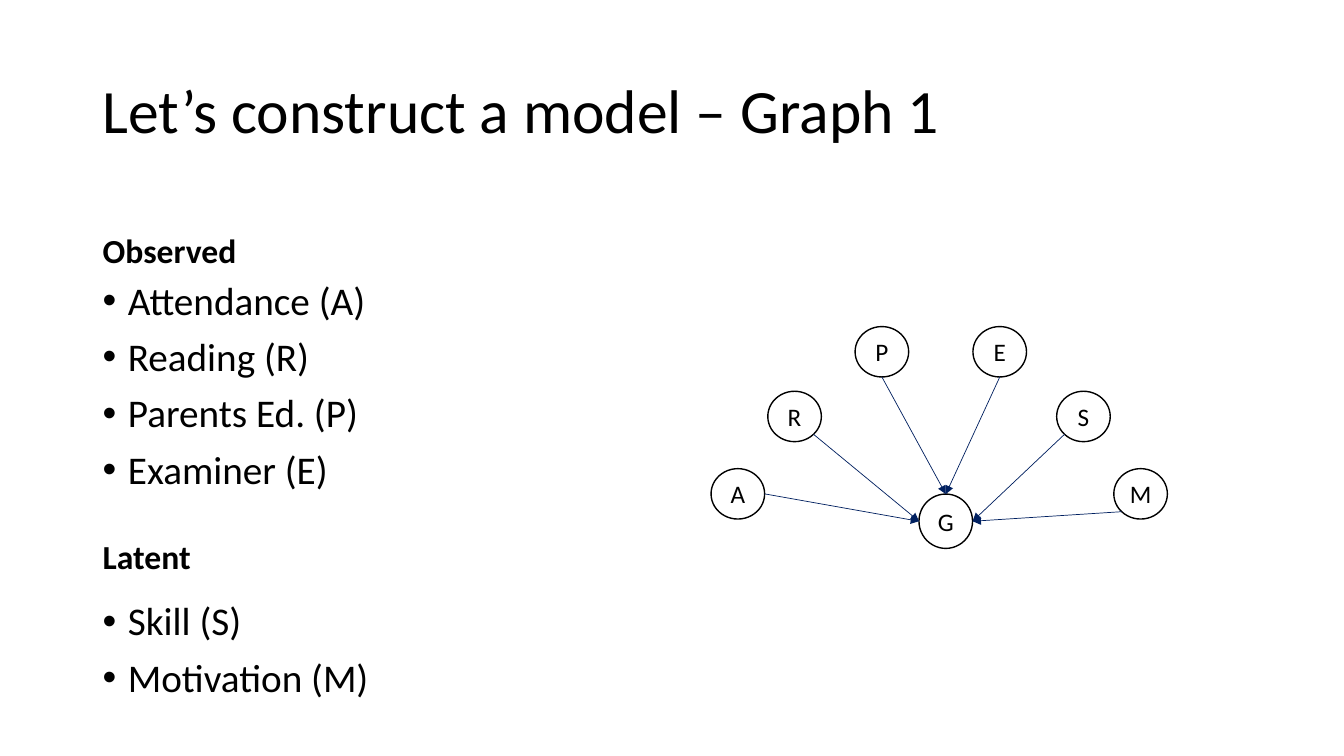
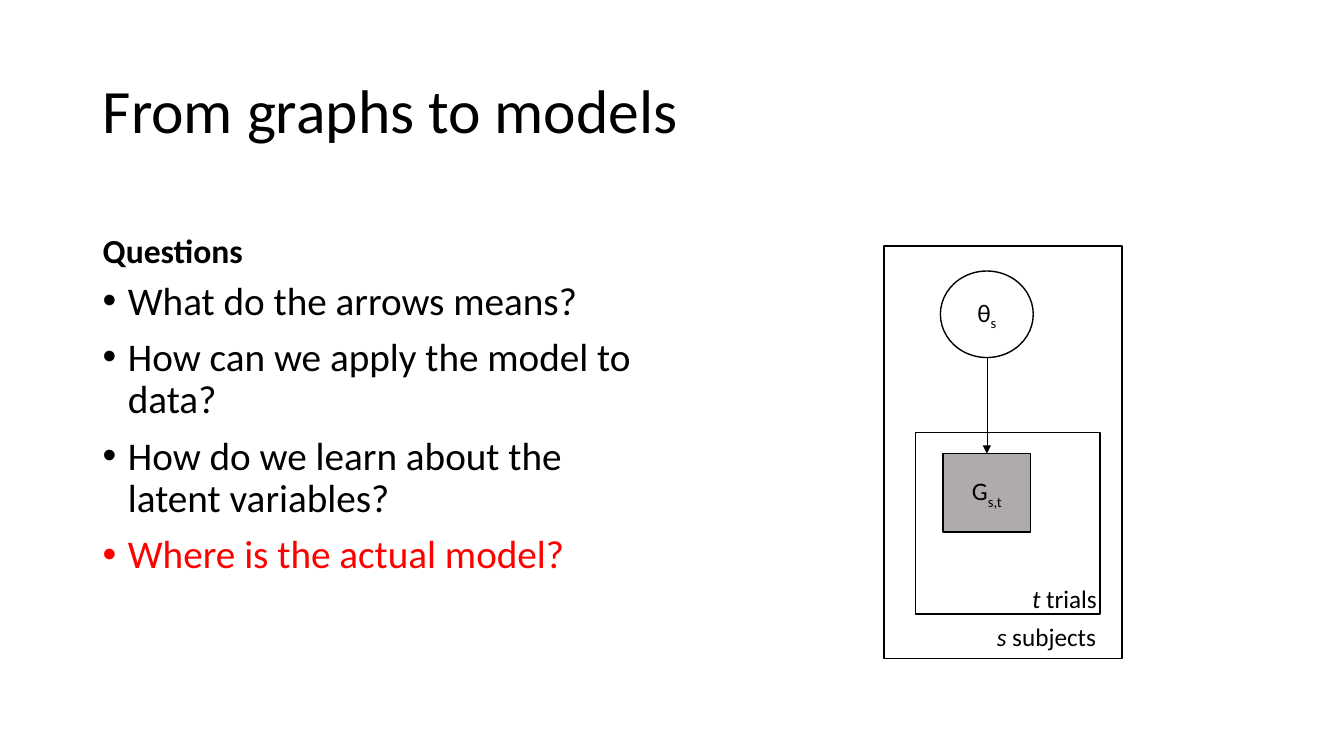
import math

import pptx
import pptx.dml.color
import pptx.enum.shapes
import pptx.enum.text
import pptx.oxml.ns
import pptx.util
from lxml import etree
from pptx.util import Cm

COLOURS = {
    "text": "000000",
    "outline": "000000",
    "paper": "FFFFFF",
    "observed": "AFABAB",
    "edge": "002060",
    "highlight": "FF0000",
}
FONT = "Calibri"
LEFT, COLUMN_WIDTH = 2.34, 14.33
ANCHOR = pptx.enum.text.MSO_ANCHOR
ALIGN = pptx.enum.text.PP_ALIGN
SHAPE = pptx.enum.shapes.MSO_SHAPE
CONNECTOR = pptx.enum.shapes.MSO_CONNECTOR


def colour(name):
    return pptx.dml.color.RGBColor.from_string(COLOURS[name])


def add_child(parent, tag, **attributes):
    return etree.SubElement(parent, pptx.oxml.ns.qn(tag), attributes)


def add_text(paragraph, text, size=18, bold=False, italic=False,
             color="text", subscript=False):
    run = paragraph.add_run()
    run.text = text
    run.font.name = FONT
    run.font.size = pptx.util.Pt(size)
    run.font.bold = bold
    run.font.italic = italic
    run.font.color.rgb = colour(color)
    if subscript:
        run.font._element.set("baseline", "-25000")


def rim(shape, degrees):
    """Point on an ellipse's outline, with angles clockwise from the right."""
    angle = math.radians(degrees)
    x = shape.left + shape.width / 2 * (1 + math.cos(angle))
    y = shape.top + shape.height / 2 * (1 + math.sin(angle))
    return round(x), round(y)


class Deck:
    """Holds the presentation, its style and the current slide."""

    def __init__(self):
        self.presentation = pptx.Presentation()
        self.presentation.slide_width = Cm(33.87)
        self.presentation.slide_height = Cm(19.05)
        self.slide = None

    def new_slide(self, title):
        layout = self.presentation.slide_layouts[6]
        self.slide = self.presentation.slides.add_slide(layout)
        frame = self.text_frame(LEFT, 1.02, 29.21, 3.68, ANCHOR.MIDDLE)
        frame.paragraphs[0].line_spacing = 0.9
        add_text(frame.paragraphs[0], title, size=44)

    def text_frame(self, left, top, width, height, anchor=ANCHOR.TOP):
        box = self.slide.shapes.add_textbox(Cm(left), Cm(top), Cm(width), Cm(height))
        box.text_frame.word_wrap = True
        box.text_frame.vertical_anchor = anchor
        return box.text_frame

    def heading(self, text, top):
        frame = self.text_frame(LEFT, top, COLUMN_WIDTH, 2.29, ANCHOR.BOTTOM)
        frame.paragraphs[0].line_spacing = 0.9
        add_text(frame.paragraphs[0], text, size=24, bold=True)

    def bullets(self, items, top, height, highlighted=None):
        frame = self.text_frame(LEFT, top, COLUMN_WIDTH, height)
        for index, item in enumerate(items):
            paragraph = frame.add_paragraph() if index else frame.paragraphs[0]
            paragraph.line_spacing = 0.9
            paragraph.space_before = pptx.util.Pt(10)
            properties = paragraph._p.get_or_add_pPr()
            properties.set("marL", str(pptx.util.Inches(0.25)))
            properties.set("indent", str(-pptx.util.Inches(0.25)))
            add_child(properties, "a:buFont", typeface="Arial")
            add_child(properties, "a:buChar", char="•")
            add_text(paragraph, item, size=28,
                     color="highlight" if item == highlighted else "text")

    def node(self, kind, left, top, width, height, text="", subscript="", fill="paper"):
        shape = self.slide.shapes.add_shape(
            kind, Cm(left), Cm(top), Cm(width), Cm(height))
        shape.shadow.inherit = False
        shape.fill.solid()
        shape.fill.fore_color.rgb = colour(fill)
        shape.line.color.rgb = colour("outline")
        shape.line.width = pptx.util.Pt(1)
        if text:
            frame = shape.text_frame
            frame.margin_left = frame.margin_right = 0
            frame.margin_top = frame.margin_bottom = 0
            frame.vertical_anchor = ANCHOR.MIDDLE
            frame.paragraphs[0].alignment = ALIGN.CENTER
            add_text(frame.paragraphs[0], text)
            if subscript:
                add_text(frame.paragraphs[0], subscript, subscript=True)
        return shape

    def arrow(self, start, end, color):
        connector = self.slide.shapes.add_connector(CONNECTOR.STRAIGHT, *start, *end)
        connector.line.color.rgb = colour(color)
        connector.line.width = pptx.util.Pt(0.5)
        add_child(connector.line._get_or_add_ln(), "a:tailEnd", type="triangle")
        add_child(connector._element.spPr, "a:effectLst")
        return connector

    def plate_label(self, index, text, left, top, width):
        paragraph = self.text_frame(left, top, width, 1.02).paragraphs[0]
        add_text(paragraph, index, italic=True)
        add_text(paragraph, text)


def build_graph_slide(deck):
    deck.new_slide("Let’s construct a model – Graph 1")
    deck.heading("Observed", 4.67)
    deck.bullets(["Attendance (A)", "Reading (R)", "Parents Ed. (P)", "Examiner (E)"],
                 6.96, 6.07)
    deck.heading("Latent", 12.37)
    deck.bullets(["Skill (S)", "Motivation (M)"], 15.04, 3.38)

    grade = deck.node(SHAPE.OVAL, 23.16, 12.45, 1.35, 1.37, "G")
    # letter, left, top, angle where the arrow leaves, angle where it meets G
    causes = [
        ("A", 17.92, 11.81, 0, 180),
        ("R", 19.35, 9.86, 45, 180),
        ("P", 21.55, 8.23, 90, 270),
        ("E", 24.52, 8.23, 90, 270),
        ("S", 26.63, 9.86, 135, 0),
        ("M", 28.07, 11.81, 135, 0),
    ]
    for letter, left, top, leaving, meeting in causes:
        cause = deck.node(SHAPE.OVAL, left, top, 1.35, 1.27, letter)
        deck.arrow(rim(cause, leaving), rim(grade, meeting), "edge")


def build_model_slide(deck):
    deck.new_slide("From graphs to models")
    deck.heading("Questions", 4.67)
    question = "Where is the actual model?"
    deck.bullets(["What do the arrows means?",
                  "How can we apply the model to data?",
                  "How do we learn about the latent variables?",
                  question], 6.96, 8.76, highlighted=question)

    deck.node(SHAPE.RECTANGLE, 22.28, 6.2, 6, 10.39)
    deck.node(SHAPE.RECTANGLE, 23.07, 10.9, 4.65, 4.57)
    theta = deck.node(SHAPE.OVAL, 23.7, 6.83, 2.34, 2.18, "θ", "s")
    grade = deck.node(SHAPE.RECTANGLE, 23.77, 11.43, 2.2, 1.98, "G", "s,t", "observed")
    arrow = deck.arrow(rim(theta, 90), (grade.left + grade.width // 2, grade.top),
                       "outline")
    arrow.end_connect(grade, 0)
    deck.plate_label("s", " subjects", 24.87, 15.54, 3.15)
    deck.plate_label("t", " trials", 25.76, 14.58, 2.26)


def main():
    deck = Deck()
    build_graph_slide(deck)
    build_model_slide(deck)
    deck.presentation.save("out.pptx")


if __name__ == "__main__":
    main()
